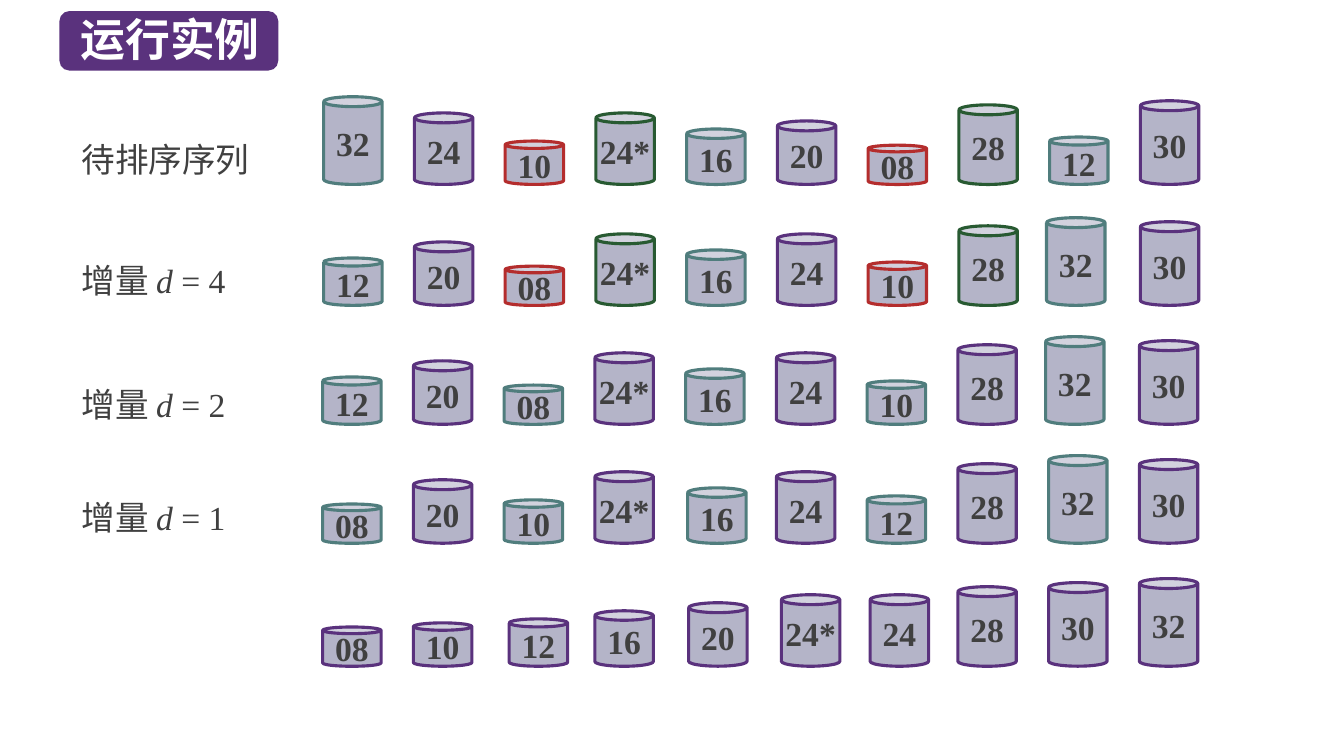
"""Build a slide tracing Shell sort with cylinders grouped by sublist."""
from dataclasses import dataclass, field

from pptx import Presentation
from pptx import util as u
from pptx.dml.color import RGBColor
from pptx.enum import shapes, text
from pptx.oxml import ns
from lxml import etree

PURPLE = RGBColor(0x5A, 0x32, 0x7D)
RED = RGBColor(0xB4, 0x2D, 0x2D)
GREEN = RGBColor(0x28, 0x5A, 0x32)
TEAL = RGBColor(0x50, 0x7D, 0x7D)
LAVENDER = RGBColor(0xB4, 0xB4, 0xC8)
GREY = RGBColor(0x40, 0x40, 0x40)
WHITE = RGBColor(0xFF, 0xFF, 0xFF)

LATIN = "Times New Roman"
CJK = "Noto Sans CJK SC"
CAN_WIDTH = 0.58
PITCH = 0.9


@dataclass
class Pass:
    """One row of cylinders; sublist colours repeat along the row."""
    values: str
    left: float
    bottom: float
    colours: list[RGBColor]
    nudges: dict[int, float] = field(default_factory=dict)


@dataclass
class Label:
    """A row label with an optional increment."""
    top: float
    width: float
    heading: str
    gap: str = ""


PASSES = [
    Pass("32 24 10 24* 16 20 08 28 12 30", 3.21, 1.83, [TEAL, PURPLE, RED, GREEN]),
    Pass("12 20 08 24* 16 24 10 28 32 30", 3.21, 3.03, [TEAL, PURPLE, RED, GREEN], {8: -0.03}),
    Pass("12 20 08 24* 16 24 10 28 32 30", 3.2, 4.21, [TEAL, PURPLE], {8: -0.03}),
    Pass("08 20 10 24* 16 24 12 28 32 30", 3.2, 5.39, [TEAL, PURPLE], {4: 0.02}),
    Pass("08 10 12 16 20 24* 24 28 30 32", 3.2, 6.61, [PURPLE],
         {2: 0.05, 4: 0.03, 5: 0.05, 6: 0.03}),
]

LABELS = [
    Label(1.33, 2.06, "待排序序列"),
    Label(2.53, 1.82, "增量 ", "4"),
    Label(3.76, 1.82, "增量 ", "2"),
    Label(4.88, 1.82, "增量 ", "1"),
]


def add_run(p, content: str, *, size: int = 24, name: str = LATIN, colour: RGBColor = GREY,
            bold: bool = False, italic: bool = False) -> None:
    """Append a formatted run to a paragraph."""
    r = p.add_run()
    r.text = content
    r.font.size = u.Pt(size)
    r.font.bold = bold
    r.font.italic = italic
    r.font.color.rgb = colour
    r.font.name = name
    ea = etree.SubElement(r.font._element, ns.qn("a:ea"))
    ea.set("typeface", CJK)


def add_box(s, left: float, top: float, width: float, height: float, anchor):
    """Add a text box and return its first paragraph."""
    tf = s.shapes.add_textbox(*map(u.Inches, (left, top, width, height))).text_frame
    tf.word_wrap = True
    tf.auto_size = text.MSO_AUTO_SIZE.SHAPE_TO_FIT_TEXT
    tf.vertical_anchor = anchor
    return tf.paragraphs[0]


def add_title(s) -> None:
    """Draw the title badge."""
    sp = s.shapes.add_shape(shapes.MSO_SHAPE.ROUNDED_RECTANGLE,
                            *map(u.Inches, (0.59, 0.11, 2.17, 0.59)))
    sp.shadow.inherit = False
    sp.fill.solid()
    sp.fill.fore_color.rgb = PURPLE
    sp.line.fill.background()
    p = add_box(s, 0.7, 0.07, 2.04, 0.64, text.MSO_ANCHOR.TOP)
    add_run(p, "运行实例", size=32, name=CJK, colour=WHITE, bold=True)


def add_label(s, label: Label) -> None:
    """Write a row label."""
    p = add_box(s, 0.71, label.top, label.width, 0.5, text.MSO_ANCHOR.MIDDLE)
    add_run(p, label.heading)
    if label.gap:
        add_run(p, "d", italic=True)
        add_run(p, f" = {label.gap}")


def add_can(group, value: str, left: float, bottom: float, colour: RGBColor) -> None:
    """Draw a cylinder whose height grows with its value."""
    height = 0.23 + 0.02 * int(value.rstrip("*"))
    sp = group.shapes.add_shape(shapes.MSO_SHAPE.CAN,
                                *map(u.Inches, (left, bottom - height, CAN_WIDTH, height)))
    sp.adjustments[0] = 0.17
    sp.shadow.inherit = False
    sp.fill.solid()
    sp.fill.fore_color.rgb = LAVENDER
    sp.line.color.rgb = colour
    sp.line.width = u.Pt(2.25)
    tf = sp.text_frame
    tf.word_wrap = False
    tf.vertical_anchor = text.MSO_ANCHOR.MIDDLE
    p = tf.paragraphs[0]
    p.alignment = text.PP_ALIGN.CENTER
    add_run(p, value, bold=True)


def add_pass(s, row: Pass) -> None:
    """Draw a row with one group per sublist."""
    values = row.values.split()
    step = len(row.colours)
    for start, colour in enumerate(row.colours):
        group = s.shapes.add_group_shape()
        for i in range(start, len(values), step):
            left = row.left + PITCH * i + row.nudges.get(i, 0)
            add_can(group, values[i], left, row.bottom, colour)


def main() -> None:
    """Build and save the slide."""
    prs = Presentation()
    prs.slide_width, prs.slide_height = u.Inches(13.33), u.Inches(7.5)
    s = prs.slides.add_slide(prs.slide_layouts[6])
    add_title(s)
    for label in LABELS:
        add_label(s, label)
    for row in PASSES:
        add_pass(s, row)
    prs.save("out.pptx")


if __name__ == "__main__":
    main()
